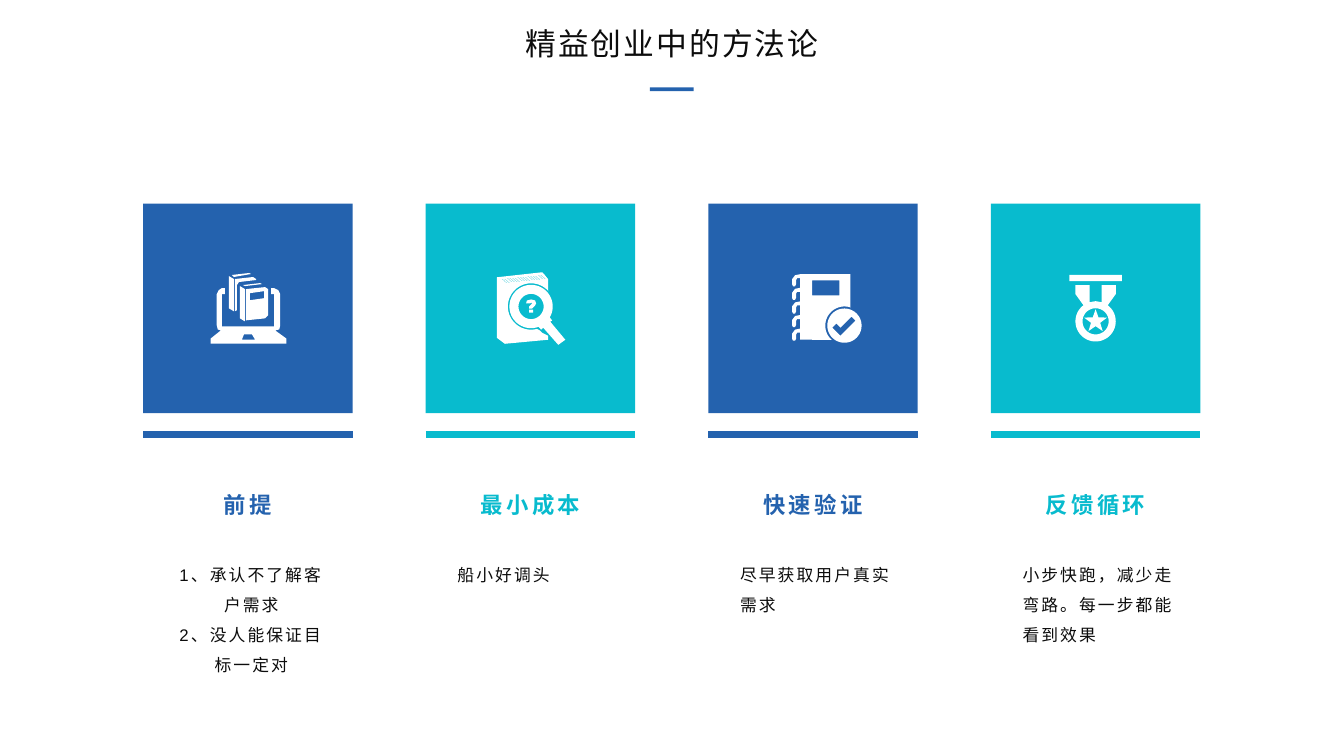
"""Build a slide with four method cards, each with an icon, a rule, a heading and notes."""
from dataclasses import dataclass
from math import cos, radians, sin

from lxml import etree
from pptx import Presentation
from pptx.dml.color import RGBColor
from pptx.enum.shapes import MSO_CONNECTOR, MSO_SHAPE
from pptx.enum.text import MSO_ANCHOR, PP_ALIGN
from pptx.oxml.ns import qn
from pptx.shapes.autoshape import Shape
from pptx.slide import Slide
from pptx.util import Cm, Pt

BLUE = RGBColor(0x24, 0x62, 0xAE)
TEAL = RGBColor(0x08, 0xBB, 0xCE)
INK = RGBColor(0x0C, 0x0C, 0x0C)
WHITE = RGBColor(0xFF, 0xFF, 0xFF)
RECT = MSO_SHAPE.RECTANGLE
LINE = MSO_CONNECTOR.STRAIGHT
TOP = MSO_ANCHOR.TOP
LEFT = PP_ALIGN.LEFT
MID = PP_ALIGN.CENTER
FONT = "Arial"
UNIT = Cm(2.54) // 100
FIRST, PITCH, SIDE = 3.61, 7.12, 5.28

Path = list[tuple[float, float]]


@dataclass
class Style:
    size: float
    color: RGBColor
    gap: float
    bold: bool = False
    align: PP_ALIGN = MID
    lead: float = 1.0


@dataclass
class Icon:
    left: float
    top: float
    paths: list[Path]


@dataclass
class Card:
    color: RGBColor
    head: str
    notes: list[str]
    align: PP_ALIGN
    icon: Icon


def arc(x: float, y: float, r: float, start: float = 0, end: float = 360) -> Path:
    """Return points along an arc, with angles in degrees."""
    turns = [radians(start + (end - start) * i / 48) for i in range(49)]
    return [(x + r * cos(t), y + r * sin(t)) for t in turns]


def box(x: float, y: float, right: float, low: float) -> Path:
    """Return the corners of a rectangle."""
    return [(x, y), (right, y), (right, low), (x, low)]


def star(x: float, y: float, r: float) -> Path:
    """Return the points of a five-pointed star."""
    turns = [radians(36 * i - 90) for i in range(10)]
    sizes = [r, r * 0.4] * 5
    return [(x + s * cos(t), y + s * sin(t)) for t, s in zip(turns, sizes)]


def coil(y: float) -> Path:
    """Return one binding ring of the notebook."""
    ring = [(8, 0), (3, 1), (0, 5), (0, 10), (1, 12), (3, 12), (4, 10), (4, 6), (5, 4), (8, 4)]
    return [(a, b + y) for a, b in ring]


LAPTOP = Icon(5.31, 6.88, [
    [(11, 21), (11, 53), (63, 53), (63, 21), (60, 21), (60, 15), (63, 15), (67, 17),
     (69, 21), (69, 52), (68, 56), (64, 57), (75, 65), (75, 70), (0, 70), (0, 65),
     (10, 57), (7, 56), (6, 52), (6, 21), (8, 17), (11, 15), (14, 15), (14, 21)],
    [(33, 61), (41, 61), (44, 66), (31, 66)],
    [(21, 2), (23, 4), (40, 1), (38, 0)],
    [(18, 3), (23, 6), (23, 38), (18, 35)],
    [(24, 6), (42, 4), (45, 6), (45, 7), (28, 9), (26, 12), (26, 37), (24, 38)],
    [(32, 12), (34, 13), (51, 11), (49, 10)],
    [(29, 13), (34, 16), (34, 48), (29, 45)],
    [(35, 16), (54, 14), (57, 16), (57, 42), (54, 45), (35, 47)],
    [(39, 20), (53, 18), (53, 25), (39, 27)],
])
SEARCH = Icon(12.52, 6.86, [
    [(0, 5), (45, 0), (47, 2), (51, 7), (51, 19), *arc(34, 34, 23, -42, -285),
     (43, 58), (45, 60), (51, 63), (51, 67), (8, 71), (0, 65)],
    *[[(5 + k, 7 + k), (46 + k, 3 + k), (46 + k, 3.4 + k), (5 + k, 7.4 + k)]
      for k in range(4)],
    [*arc(34, 34, 21.5, 70, 390), (55, 48), (53, 49), (68, 67), (61, 72),
     (46, 55), (44, 57)],
    arc(34, 34, 12.5),
    [(29, 31), (30, 28), (34, 27), (38, 28), (39, 31), (38, 33), (36, 35), (35, 36),
     (32, 36), (32, 34), (35, 31), (34, 30), (33, 31)],
    box(32, 37, 36, 40),
])
BOOK = Icon(19.96, 6.91, [
    [(8, 0), (58, 0), (58, 34), *arc(52, 51, 19, -72, -228), (8, 65)],
    *[coil(13.5 * k) for k in range(5)],
    box(20, 6, 47, 21),
    arc(52, 51, 17),
    [(59, 42), (48, 53), (44, 49), (40, 53), (48, 61), (63, 46)],
])
MEDAL = Icon(26.95, 6.93, [
    box(0, 0, 52, 6),
    [(20, 27), (26, 26), (32, 27), (32, 10), (46, 10), (46, 19),
     *arc(26, 46, 20, -53, 233), (6, 19), (6, 10), (20, 10)],
    arc(26, 46, 13),
    star(26, 46, 12),
])
CARDS = [
    Card(BLUE, "前提", ["1、承认不了解客户需求", "2、没人能保证目标一定对"], MID, LAPTOP),
    Card(TEAL, "最小成本", ["船小好调头"], LEFT, SEARCH),
    Card(BLUE, "快速验证", ["尽早获取用户真实需求"], LEFT, BOOK),
    Card(TEAL, "反馈循环", ["小步快跑，减少走弯路。每一步都能看到效果"], LEFT, MEDAL),
]


def paint(shape: Shape, color: RGBColor) -> None:
    """Give a shape a flat fill with no line or shadow."""
    shape.shadow.inherit = False
    shape.fill.solid()
    shape.fill.fore_color.rgb = color
    shape.line.fill.background()


def block(slide: Slide, x: float, y: float, w: float, h: float, color: RGBColor) -> None:
    """Draw a flat rectangle."""
    paint(slide.shapes.add_shape(RECT, Cm(x), Cm(y), Cm(w), Cm(h)), color)


def rule(slide: Slide, x: float, y: float, w: float, color: RGBColor) -> None:
    """Draw a thick level line."""
    line = slide.shapes.add_connector(LINE, Cm(x), Cm(y), Cm(x + w), Cm(y))
    line.line.color.rgb = color
    line.line.width = Pt(4.5)
    etree.SubElement(line._element.spPr, qn("a:effectLst"))


def draw(slide: Slide, icon: Icon) -> None:
    """Draw an icon as one white outline with holes."""
    paths = [[(round(x * UNIT), round(y * UNIT)) for x, y in p] for p in icon.paths]
    pen = slide.shapes.build_freeform(*paths[0][0])
    pen.add_line_segments(paths[0][1:])
    for path in paths[1:]:
        pen.move_to(*path[0])
        pen.add_line_segments(path[1:])
    paint(pen.convert_to_shape(Cm(icon.left), Cm(icon.top)), WHITE)


def write(slide: Slide, x: float, y: float, w: float, h: float,
          lines: list[str], style: Style, inset: float = 0.25) -> None:
    """Add a text box with one paragraph for each line."""
    frame = slide.shapes.add_textbox(Cm(x), Cm(y), Cm(w), Cm(h)).text_frame
    look = {"word_wrap": True, "vertical_anchor": TOP, "margin_left": Cm(inset)}
    for key, value in look.items():
        setattr(frame, key, value)
    for i, line in enumerate(lines):
        para = frame.add_paragraph() if i else frame.paragraphs[0]
        para.alignment = style.align
        para.line_spacing = style.lead
        run = para.add_run()
        run.text = line
        form = {"name": FONT, "size": Pt(style.size), "bold": style.bold}
        for key, value in form.items():
            setattr(run.font, key, value)
        run.font.color.rgb = style.color
        run._r.get_or_add_rPr().set("spc", str(round(style.gap * 100)))


def main() -> None:
    """Build and save the slide."""
    deck = Presentation()
    deck.slide_width, deck.slide_height = Cm(33.87), Cm(19.05)
    slide = deck.slides.add_slide(deck.slide_layouts[6])
    block(slide, 16.38, 2.2, 1.1, 0.1, BLUE)
    write(slide, 4.44, 0.5, 24.99, 1.2, ["精益创业中的方法论"], Style(22, INK, 1.5))
    for i, card in enumerate(CARDS):
        x = FIRST + i * PITCH
        block(slide, x, 5.13, SIDE, SIDE, card.color)
        rule(slide, x, 10.95, SIDE, card.color)
        draw(slide, card.icon)
        write(slide, x, 12.24, SIDE, 0.94, [card.head], Style(16, card.color, 2.5, True))
        notes = Style(12, INK, 1.5, align=card.align, lead=1.5)
        write(slide, x + 0.4, 13.84, 4.5, 3.33, card.notes, notes, 0.4)
    deck.save("out.pptx")


if __name__ == "__main__":
    main()
